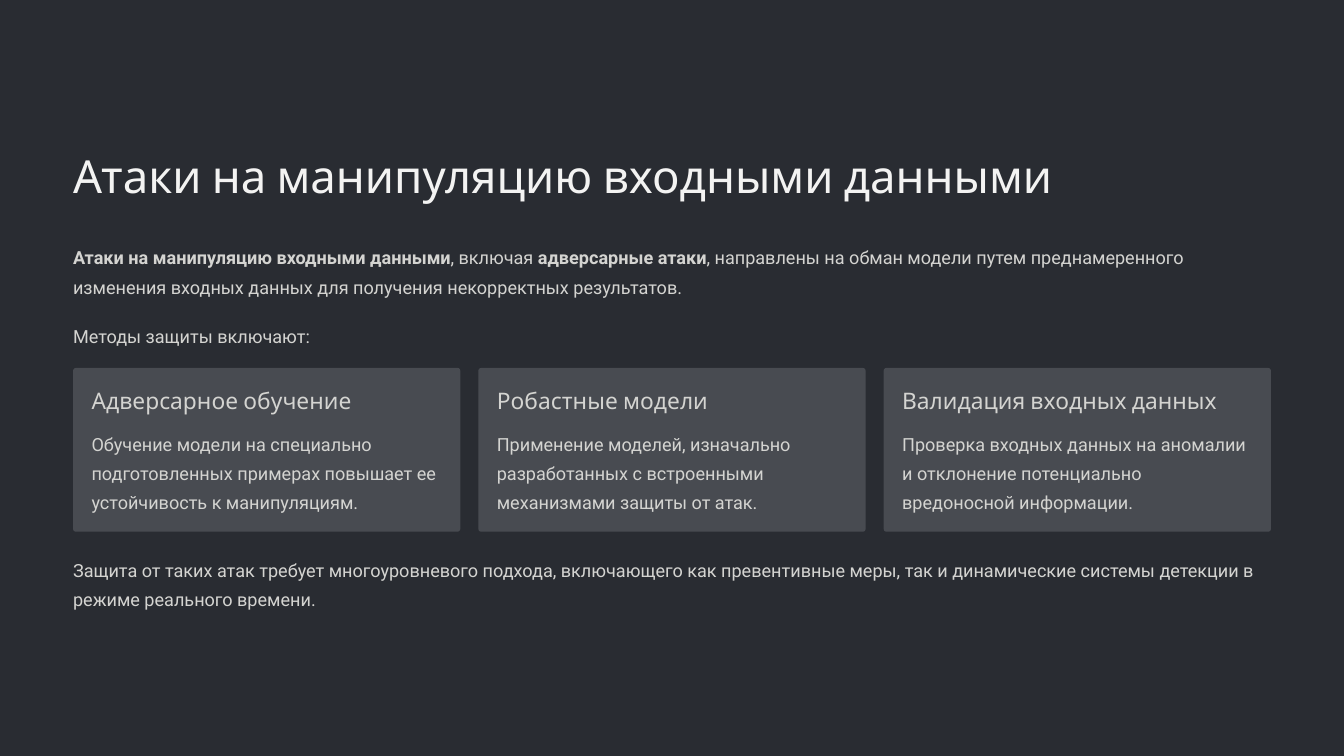
from pptx import Presentation
from pptx.dml.color import RGBColor
from pptx.enum.shapes import MSO_SHAPE
from pptx.enum.text import MSO_ANCHOR, MSO_AUTO_SIZE, PP_ALIGN
from pptx.util import Inches, Pt

# Content: each text is a list of (words, bold) runs
TITLE = [("Атаки на манипуляцию входными данными", False)]
INTRO = [
    ("Атаки на манипуляцию входными данными", True),
    (", включая ", False),
    ("адверсарные атаки", True),
    (", направлены на обман модели путем преднамеренного изменения "
     "входных данных для получения некорректных результатов.", False),
]
METHODS_LEAD = [("Методы защиты включают:", False)]
METHODS = [
    ("Адверсарное обучение",
     "Обучение модели на специально подготовленных примерах повышает ее "
     "устойчивость к манипуляциям."),
    ("Робастные модели",
     "Применение моделей, изначально разработанных с встроенными "
     "механизмами защиты от атак."),
    ("Валидация входных данных",
     "Проверка входных данных на аномалии и отклонение потенциально "
     "вредоносной информации."),
]
CONCLUSION = [
    ("Защита от таких атак требует многоуровневого подхода, включающего как "
     "превентивные меры, так и динамические системы детекции в режиме "
     "реального времени.", False),
]

# Theme
THEME = {
    "background": RGBColor.from_string("292C32"),
    "card": RGBColor.from_string("484B51"),
    "title": {"font": "Cabin", "size": 39, "leading": 48.5, "color": "F3F3F2"},
    "heading": {"font": "Cabin", "size": 19.5, "leading": 24, "color": "D4D4D1"},
    "body": {"font": "Roboto", "size": 15.5, "leading": 25, "color": "D4D4D1"},
}

# Layout, in inches
SLIDE_W, SLIDE_H = 16, 9
MARGIN = 0.87
CONTENT_W = SLIDE_W - 2 * MARGIN
CARD_TOP, CARD_W, CARD_H = 4.38, 4.61, 1.95
CARD_STEP = (CONTENT_W - CARD_W) / (len(METHODS) - 1)
CARD_PAD = 0.22
CARD_RADIUS = 0.017


def write(shape, box, runs, style):
    """Place a text shape and fill it with styled runs."""
    shape.left, shape.top, shape.width, shape.height = map(Inches, box)
    frame = shape.text_frame
    frame_format = {
        "margin_left": 0, "margin_top": 0, "margin_right": 0, "margin_bottom": 0,
        "word_wrap": True, "auto_size": MSO_AUTO_SIZE.NONE,
        "vertical_anchor": MSO_ANCHOR.TOP,
    }
    for name, value in frame_format.items():
        setattr(frame, name, value)
    paragraph = frame.paragraphs[0]
    paragraph.alignment = PP_ALIGN.LEFT
    paragraph.line_spacing = Pt(style["leading"])
    for words, bold in runs:
        run = paragraph.add_run()
        run.text = words
        font_format = {"name": style["font"], "size": Pt(style["size"]), "bold": bold}
        for name, value in font_format.items():
            setattr(run.font, name, value)
        run.font.color.rgb = RGBColor.from_string(style["color"])


def add_text(slide, box, runs, style):
    write(slide.shapes.add_textbox(*map(Inches, box)), box, runs, style)


def add_card(slide, left, heading, description):
    card = slide.shapes.add_shape(
        MSO_SHAPE.ROUNDED_RECTANGLE,
        *map(Inches, (left, CARD_TOP, CARD_W, CARD_H)))
    card.adjustments[0] = CARD_RADIUS
    card.shadow.inherit = False
    card.fill.solid()
    card.fill.fore_color.rgb = THEME["card"]
    card.line.fill.background()
    text_left, text_w = left + CARD_PAD, CARD_W - 2 * CARD_PAD
    add_text(slide, (text_left, CARD_TOP + CARD_PAD, text_w, 0.34),
             [(heading, False)], THEME["heading"])
    add_text(slide, (text_left, CARD_TOP + 0.69, text_w, 1.04),
             [(description, False)], THEME["body"])


def main():
    deck = Presentation()
    deck.slide_width, deck.slide_height = Inches(SLIDE_W), Inches(SLIDE_H)
    slide = deck.slides.add_slide(deck.slide_layouts.get_by_name("Title Only"))
    slide.background.fill.solid()
    slide.background.fill.fore_color.rgb = THEME["background"]

    # Title and introduction
    write(slide.shapes.title, (MARGIN, 1.74, 12, 0.68), TITLE, THEME["title"])
    add_text(slide, (MARGIN, 2.85, CONTENT_W, 0.69), INTRO, THEME["body"])
    add_text(slide, (MARGIN, 3.79, CONTENT_W, 0.35), METHODS_LEAD, THEME["body"])

    # Defence method cards
    for index, (heading, description) in enumerate(METHODS):
        add_card(slide, MARGIN + index * CARD_STEP, heading, description)

    # Conclusion
    add_text(slide, (MARGIN, 6.57, CONTENT_W, 0.69), CONCLUSION, THEME["body"])

    deck.save("out.pptx")


if __name__ == "__main__":
    main()
